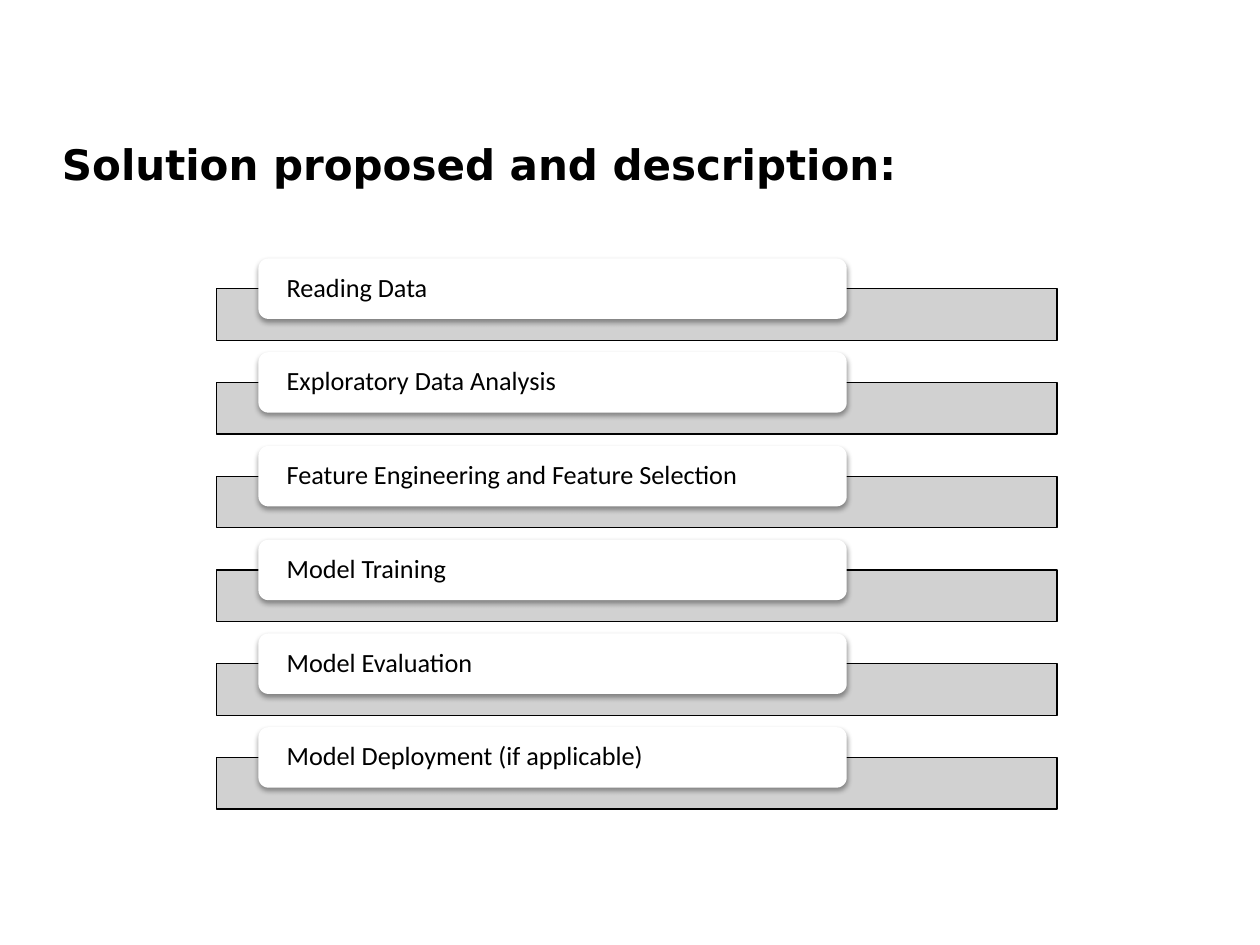
from lxml.etree import SubElement
from pptx import Presentation
from pptx.dml.color import RGBColor
from pptx.enum.shapes import MSO_SHAPE as Shape
from pptx.enum.text import MSO_ANCHOR as Anchor, PP_ALIGN as Align
from pptx.oxml.ns import qn
from pptx.util import Cm, Pt

STEPS = [
    "Reading Data",
    "Exploratory Data Analysis",
    "Feature Engineering and Feature Selection",
    "Model Training",
    "Model Evaluation",
    "Model Deployment (if applicable)",
]
FIRST_TOP = 5.21
PITCH = 1.89
BAR_DROP = 0.61


def color(value):
    return RGBColor.from_string(value)


class Deck:
    ink = "000000"
    paper = "FFFFFF"
    gray = "CCCCCC"
    title_font = "DejaVu Sans"
    body_font = "Calibri"

    def __init__(self, width, height):
        self.prs = Presentation()
        self.prs.slide_width, self.prs.slide_height = Cm(width), Cm(height)
        self.slide = self.prs.slides.add_slide(self.prs.slide_layouts[6])

    def text(self, sp, text, font, size, inset, spacing, anchor, bold=False):
        tf = sp.text_frame
        tf.word_wrap = True
        tf.vertical_anchor = anchor
        tf.margin_left = tf.margin_right = Cm(inset[0])
        tf.margin_top = tf.margin_bottom = Cm(inset[1])
        p = tf.paragraphs[0]
        p.alignment = Align.LEFT
        p.line_spacing = spacing
        r = p.add_run()
        r.text = text
        r.font.name = font
        r.font.size = Pt(size)
        r.font.bold = bold
        r.font.color.rgb = color(self.ink)

    def shape(self, kind, box, fill):
        sp = self.slide.shapes.add_shape(kind, *map(Cm, box))
        sp.shadow.inherit = False
        sp.fill.solid()
        sp.fill.fore_color.rgb = color(fill)
        return sp

    def title(self, text, box):
        sp = self.slide.shapes.add_textbox(*map(Cm, box))
        self.text(sp, text, self.title_font, 24, (0.25, 0.25), 1.15, Anchor.TOP, True)

    def bar(self, box):
        sp = self.shape(Shape.RECTANGLE, box, self.gray)
        sp.line.color.rgb = color(self.ink)
        sp.line.width = Pt(0.75)
        clr = sp._element.spPr.find(qn("a:solidFill"))[0]
        SubElement(clr, qn("a:alpha"), val="90000")

    def card(self, text, box):
        sp = self.shape(Shape.ROUNDED_RECTANGLE, box, self.paper)
        sp.line.fill.background()
        effects = sp._element.spPr.find(qn("a:effectLst"))
        shadow = SubElement(effects, qn("a:outerShdw"), blurRad="40000",
                            dist="20000", dir="5400000", rotWithShape="0")
        clr = SubElement(shadow, qn("a:srgbClr"), val=self.ink)
        SubElement(clr, qn("a:alpha"), val="38000")
        self.text(sp, text, self.body_font, 15, (0.51, 0), 0.9, Anchor.MIDDLE)


def main():
    deck = Deck(25.4, 19.05)
    deck.title("Solution proposed and description:", (1, 2.4, 23.67, 1.6))
    for i, step in enumerate(STEPS):
        top = FIRST_TOP + i * PITCH
        deck.bar((4.37, top + BAR_DROP, 16.94, 1.04))
        deck.card(step, (5.21, top, 11.86, 1.22))
    deck.prs.save("out.pptx")


if __name__ == "__main__":
    main()
